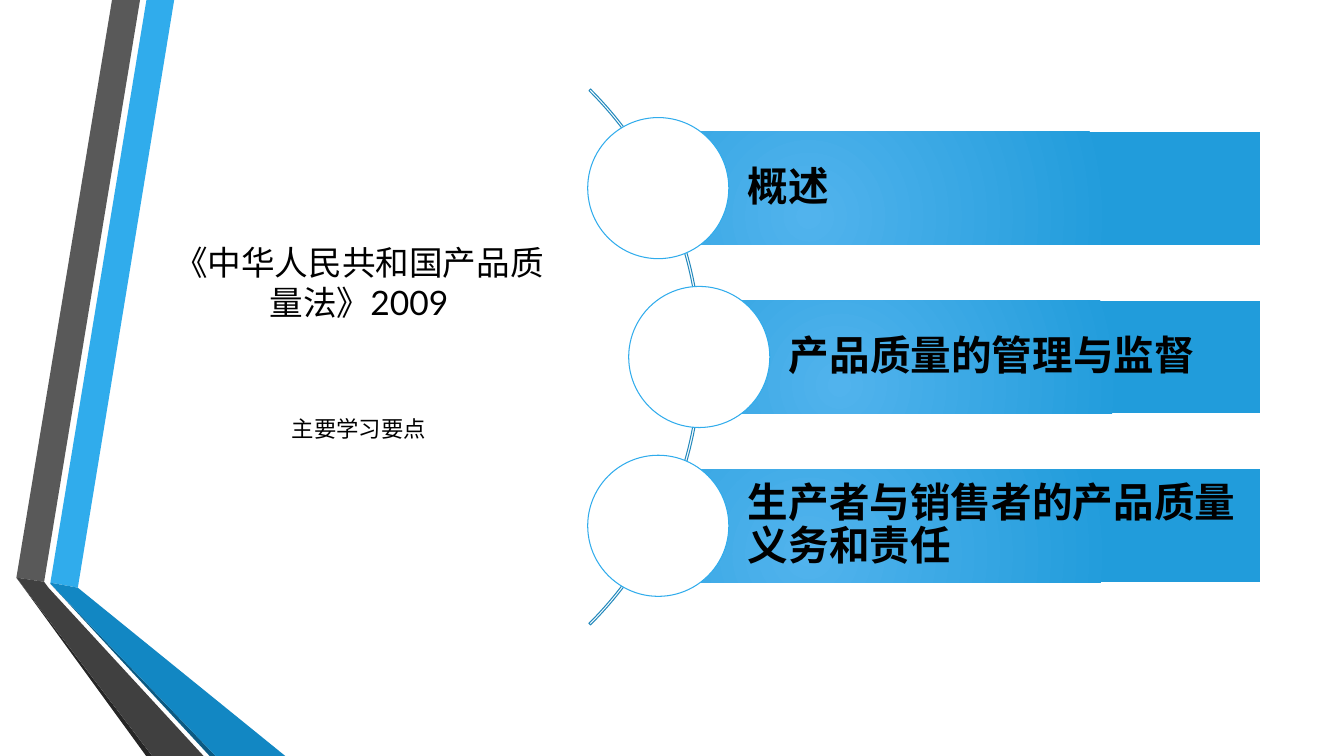
from pptx import Presentation
from pptx.dml.color import RGBColor
from pptx.enum.shapes import MSO_SHAPE
from pptx.enum.text import MSO_ANCHOR, PP_ALIGN
from pptx.oxml import parse_xml
from pptx.oxml.ns import nsdecls, qn
from pptx.util import Pt

FONT = "Lato"
BANDS = [
    ("30ACEC", [(36, 416.2), (55.6, 419.8), (124.4, 0), (104.6, 0)]),
    ("595959", [(100, 0), (80, 0), (11.7, 412.6), (31.5, 415.6)]),
    ("262626", [(11.7, 412.6), (104.4, 540), (108.7, 540)]),
    ("0C5A82", [(36, 416.9), (149.8, 540), (154.1, 540)]),
    ("1287C3", [(36, 416.9), (154.1, 540), (203.8, 540), (55.6, 419.8), (36, 416.2)]),
    ("404040", [(145.4, 540), (34.6, 419.8), (31.5, 415.6), (11.7, 412.6), (108.7, 540)]),
]
TOPICS = ["概述", "产品质量的管理与监督", "生产者与销售者的产品质量义务和责任"]


def color(code):
    return RGBColor.from_string(code)


def paint(shape, fill=None, line=None):
    shape.shadow.inherit = False
    if fill:
        shape.fill.solid()
        shape.fill.fore_color.rgb = color(fill)
    else:
        shape.fill.background()
    if line:
        shape.line.color.rgb = color(line)
        shape.line.width = Pt(0.75)
    else:
        shape.line.fill.background()


def glow(shape, inner, outer):
    """Fill with a round gradient."""
    shape.fill.gradient()
    for stop, code in zip(shape.fill.gradient_stops, (inner, outer)):
        stop.color.rgb = color(code)
    grad = shape.element.spPr.find(qn("a:gradFill"))
    grad.remove(grad.find(qn("a:lin")))
    grad.append(parse_xml(
        f'<a:path {nsdecls("a")} path="circle">'
        '<a:fillToRect l="50000" t="100000" r="100000" b="50000"/></a:path>'))


def preset(slide, kind, x, y, w, h):
    return slide.shapes.add_shape(kind, Pt(x), Pt(y), Pt(w), Pt(h))


def write(shape, text, size, align, anchor, bold=False):
    frame = shape.text_frame
    frame.word_wrap = True
    frame.vertical_anchor = anchor
    para = frame.paragraphs[0]
    para.alignment = align
    run = para.add_run()
    run.text = text
    font = run.font
    font.name, font.size, font.bold = FONT, Pt(size), bold
    font.color.rgb = color("000000")
    return para


def ribbon(slide, left, top):
    """Folded bands along the left edge."""
    for fill, points in BANDS:
        spots = [(Pt(left + x), Pt(top + y)) for x, y in points]
        pen = slide.shapes.build_freeform(*spots[0], scale=1.0)
        pen.add_line_segments(spots[1:], close=True)
        paint(pen.convert_to_shape(), fill)


def heading(slide, left, top, width):
    """Title above its subtitle."""
    rows = [("《中华人民共和国产品质量法》2009", 24, 0, 108, MSO_ANCHOR.BOTTOM),
            ("主要学习要点", 16, 108, 144, MSO_ANCHOR.MIDDLE)]
    for text, size, drop, height, anchor in rows:
        box = slide.shapes.add_textbox(Pt(left), Pt(top + drop), Pt(width), Pt(height))
        para = write(box, text, size, PP_ALIGN.CENTER, anchor)
    para.space_before, para.space_after = Pt(3.2), Pt(6)


def agenda(slide, left, top, width, height):
    """Topic bars with circles strung along an arc."""
    disc, bar, step, bulge = 100.8, 80.6, 120.6, 29.3
    middle = top + height / 2

    # Arc
    radius = 270.7
    hub = left - 189.4
    arc = preset(slide, MSO_SHAPE.BLOCK_ARC, hub - radius, middle - radius,
                 2 * radius, 2 * radius)
    for place, value in enumerate((189, 27, 0.003)):
        arc.adjustments[place] = value
    paint(arc, line="268ABD")

    # Bars and circles
    for row, topic in enumerate(TOPICS):
        x = left + disc / 2 + bulge * (row % 2)
        y = middle + (row - 1) * step
        strip = preset(slide, MSO_SHAPE.RECTANGLE, x, y - bar / 2,
                       left + width - x, bar)
        paint(strip)
        glow(strip, "51B3ED", "219CDB")
        para = write(strip, topic, 29, PP_ALIGN.LEFT, MSO_ANCHOR.MIDDLE, True)
        para.line_spacing = 0.9
        frame = strip.text_frame
        frame.margin_left = Pt(64)
        frame.margin_right = frame.margin_top = frame.margin_bottom = Pt(5.8)
        ring = preset(slide, MSO_SHAPE.OVAL, x - disc / 2, y - disc / 2, disc, disc)
        paint(ring, "FFFFFF", "30ACEC")


deck = Presentation()
deck.slide_width, deck.slide_height = Pt(960), Pt(540)
page = deck.slides.add_slide(deck.slide_layouts[6])
ribbon(page, 0, 0)
heading(page, 116.6, 126, 279.6)
agenda(page, 419.8, 64, 480.4, 382)
deck.save("out.pptx")
